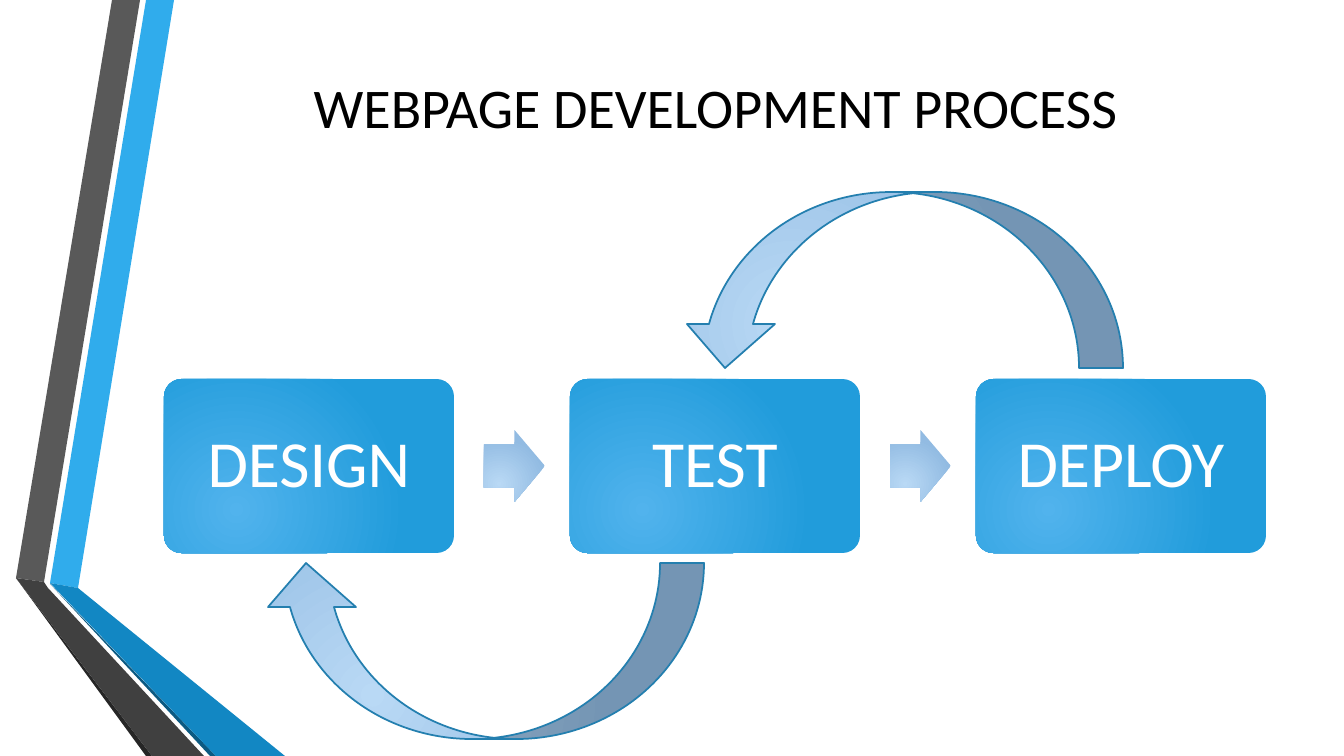
from dataclasses import dataclass

from lxml.etree import SubElement
from pptx import Presentation
from pptx.dml.color import RGBColor
from pptx.enum.shapes import MSO_SHAPE
from pptx.enum.text import MSO_ANCHOR, PP_ALIGN
from pptx.oxml.ns import qn
from pptx.shapes.autoshape import Shape
from pptx.slide import Slide
from pptx.text.text import TextFrame
from pptx.util import Pt

SCALE = 914400 / 100.8
FONT = "Calibri"
BOX_GRADIENT = ("51B3ED", "219CDB")
ARROW_GRADIENT = ("B9D9F5", "92BBE2")
STEP_PITCH = 406


@dataclass(frozen=True)
class Ribbon:
    color: str
    points: list[tuple[int, int]]


@dataclass(frozen=True)
class Block:
    kind: MSO_SHAPE
    left: int
    top: int
    width: int
    height: int
    gradient: tuple[str, str]
    adjustments: tuple[float, ...] = ()
    rotation: int = 0
    outline: str = ""


RIBBONS = [
    Ribbon("30ACEC", [(50, 583), (78, 588), (174, 0), (146, 0)]),
    Ribbon("595959", [(140, 0), (112, 0), (16, 578), (44, 582)]),
    Ribbon("262626", [(16, 578), (146, 756), (152, 756)]),
    Ribbon("0C5A82", [(50, 584), (210, 756), (216, 756)]),
    Ribbon("1287C3", [(50, 583), (216, 756), (285, 756), (78, 588)]),
    Ribbon("404040", [(204, 756), (48, 588), (44, 582), (16, 578), (152, 756)]),
]
STEPS = ["DESIGN", "TEST", "DEPLOY"]
RETURN_ARROWS = [
    Block(MSO_SHAPE.CURVED_DOWN_ARROW, 262, 563, 442, 176, ARROW_GRADIENT,
          rotation=180, outline="247FAF"),
    Block(MSO_SHAPE.CURVED_UP_ARROW, 681, 192, 442, 176, ARROW_GRADIENT,
          rotation=180, outline="247FAF"),
]


def px(length: float) -> int:
    return round(length * SCALE)


def rgb(color: str) -> RGBColor:
    return RGBColor.from_string(color)


def draw_ribbon(slide: Slide, ribbon: Ribbon) -> None:
    builder = slide.shapes.build_freeform(*ribbon.points[0], scale=SCALE)
    builder.add_line_segments(ribbon.points[1:], close=True)
    shape = builder.convert_to_shape()
    shape.shadow.inherit = False
    shape.fill.solid()
    shape.fill.fore_color.rgb = rgb(ribbon.color)
    shape.line.fill.background()


def fill_radial(shape: Shape, colors: tuple[str, str]) -> None:
    shape.fill.gradient()
    for position, (stop, color) in enumerate(zip(shape.fill.gradient_stops, colors)):
        stop.position = position
        stop.color.rgb = rgb(color)
    gradient = shape._element.spPr.find(qn("a:gradFill"))
    gradient.remove(gradient.find(qn("a:lin")))
    circle = SubElement(gradient, qn("a:path"), {"path": "circle"})
    SubElement(circle, qn("a:fillToRect"),
               {"l": "50000", "t": "100000", "r": "100000", "b": "50000"})


def draw_block(slide: Slide, block: Block) -> Shape:
    shape = slide.shapes.add_shape(
        block.kind, px(block.left), px(block.top), px(block.width), px(block.height))
    shape.shadow.inherit = False
    shape.rotation = block.rotation
    for index, value in enumerate(block.adjustments):
        shape.adjustments[index] = value
    fill_radial(shape, block.gradient)
    if block.outline:
        shape.line.color.rgb = rgb(block.outline)
        shape.line.width = Pt(1.25)
    else:
        shape.line.fill.background()
    return shape


def write(frame: TextFrame, text: str, size: int, color: str) -> None:
    frame.text = text
    frame.word_wrap = True
    frame.vertical_anchor = MSO_ANCHOR.MIDDLE
    paragraph = frame.paragraphs[0]
    paragraph.alignment = PP_ALIGN.CENTER
    paragraph.line_spacing = 0.9
    font = paragraph.runs[0].font
    font.name = FONT
    font.size = Pt(size)
    font.color.rgb = rgb(color)


def draw_step(slide: Slide, index: int, label: str) -> None:
    offset = index * STEP_PITCH
    box = draw_block(slide, Block(
        MSO_SHAPE.ROUNDED_RECTANGLE, 164 + offset, 379, 290, 174, BOX_GRADIENT, (0.1,)))
    frame = box.text_frame
    frame.margin_left = frame.margin_right = px(20)
    frame.margin_top = frame.margin_bottom = px(20)
    write(frame, label, 47, "FFFFFF")
    if index < len(STEPS) - 1:
        draw_block(slide, Block(
            MSO_SHAPE.RIGHT_ARROW, 484 + offset, 430, 61, 72, ARROW_GRADIENT, (0.6, 0.5)))


def main() -> None:
    presentation = Presentation()
    presentation.slide_width = px(1344)
    presentation.slide_height = px(756)
    slide = presentation.slides.add_slide(presentation.slide_layouts[6])
    for ribbon in RIBBONS:
        draw_ribbon(slide, ribbon)
    title = slide.shapes.add_textbox(px(163), px(40), px(1105), px(132))
    write(title.text_frame, "WEBPAGE DEVELOPMENT PROCESS", 40, "000000")
    title.text_frame.paragraphs[0].line_spacing = 1.0
    for index, label in enumerate(STEPS):
        draw_step(slide, index, label)
    for arrow in RETURN_ARROWS:
        draw_block(slide, arrow)
    presentation.save("out.pptx")


main()
